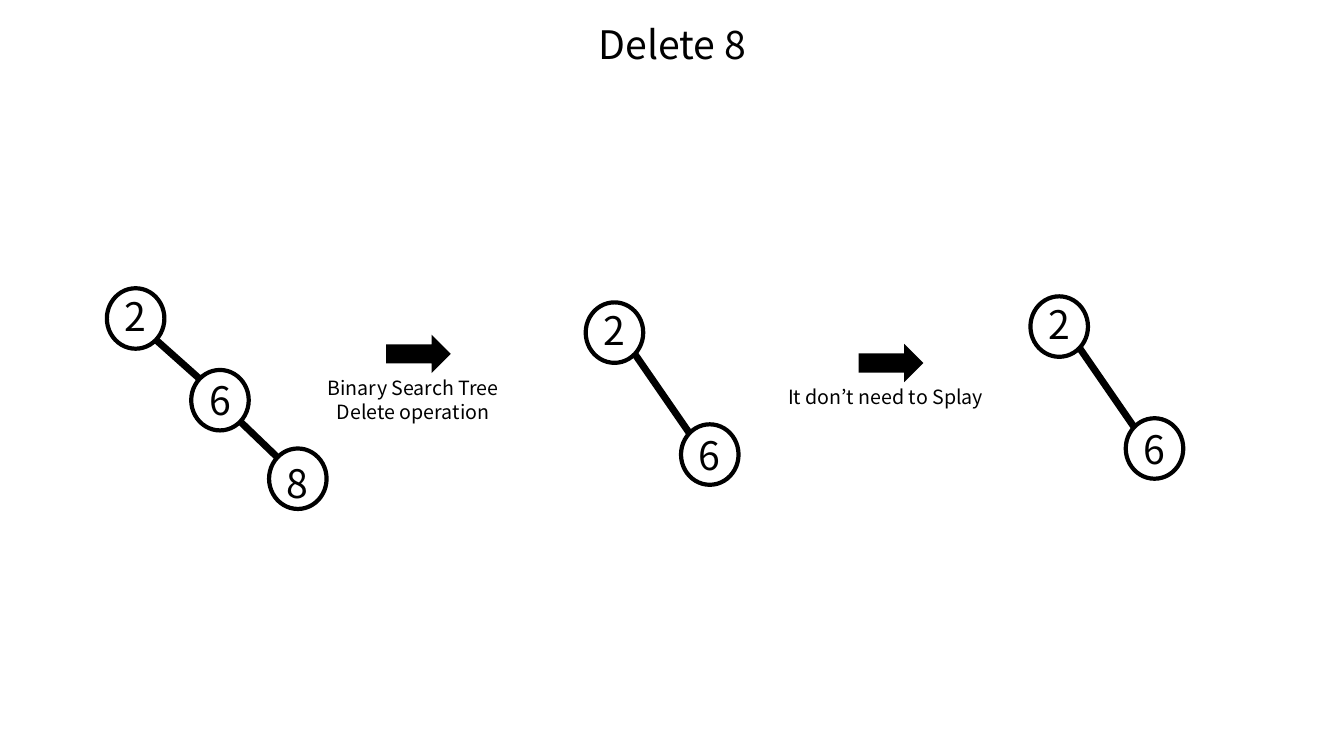
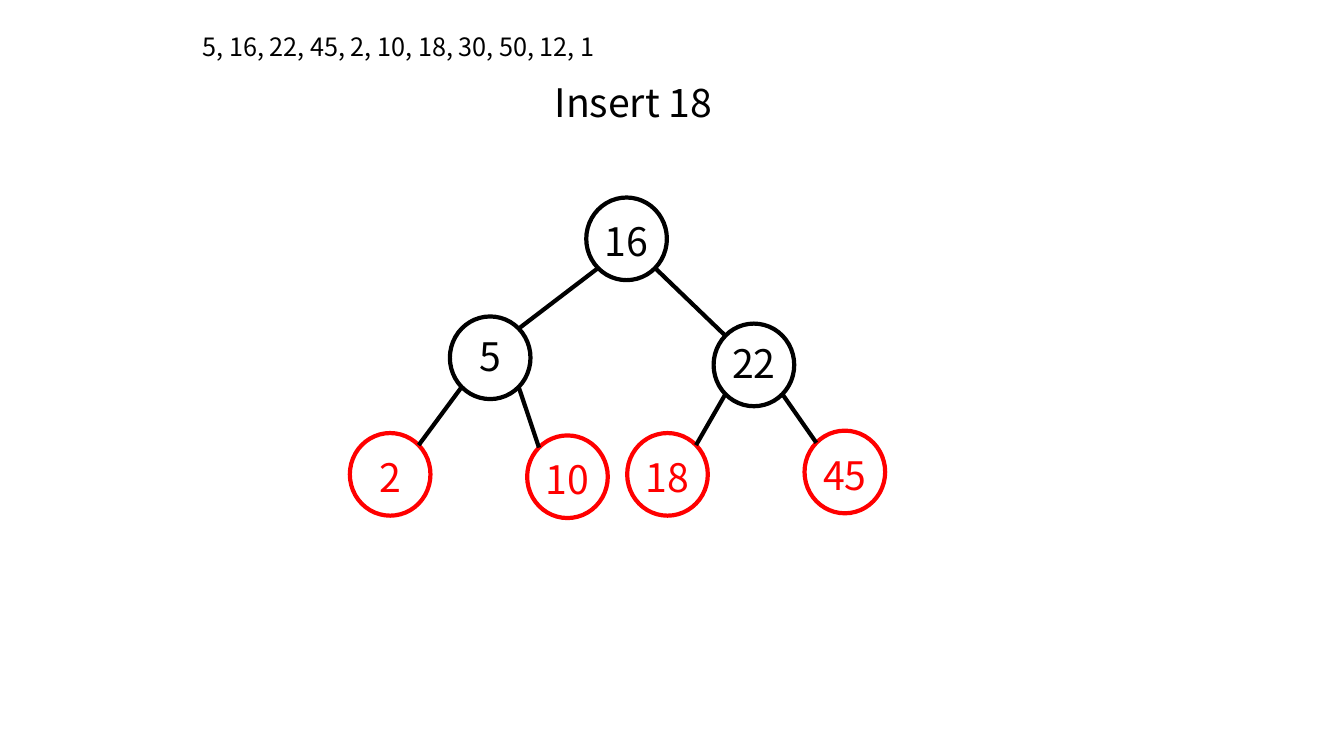
from lxml.etree import SubElement
from pptx import Presentation
from pptx.dml.color import RGBColor
from pptx.enum.shapes import MSO_CONNECTOR, MSO_SHAPE
from pptx.enum.text import MSO_ANCHOR, MSO_AUTO_SIZE, PP_ALIGN
from pptx.oxml.ns import qn
from pptx.util import Inches, Pt

FONT, BLACK, RED = "Noto Sans CJK KR", "000000", "FF0000"
WIDTH, HEIGHT = Inches(13.33), Inches(7.5)
COL, ROW = WIDTH / 100, HEIGHT / 100
TITLE_SIZE = (20.85, 7.6)
SMALL_NODE, LARGE_NODE = (4.28, 8), (6, 10.93)
CORNER = 0.5 ** 1.5


def rgb(value):
    """Turn a hex string into a colour."""
    return RGBColor.from_string(value)


def place(x, y, w, h):
    """Turn a box in grid columns and rows into slide lengths."""
    return int(x * COL), int(y * ROW), int(w * COL), int(h * ROW)


def write(sp, lines, size, color=BLACK, **formats):
    """Fill a shape with centred lines of text, with optional frame formats."""
    tf = sp.text_frame
    tf.text = "\n".join(lines)
    settings = {"word_wrap": True, "auto_size": MSO_AUTO_SIZE.NONE,
                "vertical_anchor": MSO_ANCHOR.TOP}
    align = formats.pop("align", PP_ALIGN.CENTER)
    for name, value in {**settings, **formats}.items():
        setattr(tf, name, value)
    for p in tf.paragraphs:
        p.alignment = align
        for name, value in {"name": FONT, "size": Pt(size), "bold": False}.items():
            setattr(p.font, name, value)
        p.font.color.rgb = rgb(color)


def add_title_slide(prs, title, x, y):
    """Add a title-only slide with its title at a grid point."""
    slide = prs.slides.add_slide(prs.slide_layouts[5])
    sp = slide.shapes.title
    sp.left, sp.top, sp.width, sp.height = place(x, y, *TITLE_SIZE)
    write(sp, [title], 28)
    return slide


def add_node(slide, box, label, color, drop):
    """Draw a ringed label, lowered by a share of the ring's height."""
    sp = slide.shapes.add_shape(MSO_SHAPE.OVAL, *place(*box))
    sp.shadow.inherit = False
    sp.fill.background()
    sp.line.color.rgb = rgb(color)
    sp.line.width = Pt(3)
    shift = int(2 * drop * sp.height)
    write(sp, [label], 28, color, word_wrap=False, vertical_anchor=MSO_ANCHOR.MIDDLE,
          margin_left=0, margin_right=0,
          margin_top=max(shift, 0), margin_bottom=max(-shift, 0))
    return sp


def add_edge(slide, parent, child, weight):
    """Join the facing diagonal points of a parent ring and a child ring."""
    side = 1 if child.left > parent.left else -1
    ends = []
    for sp, dx, dy in ((parent, side, 1), (child, -side, -1)):
        ends += [int(sp.left + sp.width * (0.5 + dx * CORNER)),
                 int(sp.top + sp.height * (0.5 + dy * CORNER))]
    line = slide.shapes.add_connector(MSO_CONNECTOR.STRAIGHT, *ends)
    line.line.color.rgb = rgb(BLACK)
    line.line.width = Pt(weight)
    SubElement(line._element.spPr, qn("a:effectLst"))


def add_tree(slide, box, node_size, nodes, parents, weight):
    """Draw a tree whose nodes sit at shares of the free room in a box."""
    x, y, w, h = box
    node_w, node_h = node_size
    rings = {label: add_node(slide, (x + (w - node_w) * across, y + (h - node_h) * down,
                                     node_w, node_h), label, color, drop)
             for label, across, down, color, drop in nodes}
    for child, parent in parents.items():
        add_edge(slide, rings[parent], rings[child], weight)


def add_step(slide, box, lines):
    """Draw a right arrow with a caption below it in a box."""
    x, y, w, h = box
    sp = slide.shapes.add_shape(MSO_SHAPE.RIGHT_ARROW,
                                *place(x + w * 0.38, y, w * 0.285, h * 0.41))
    sp.shadow.inherit = False
    sp.fill.solid()
    sp.fill.fore_color.rgb = rgb(BLACK)
    sp.line.fill.background()
    caption = slide.shapes.add_textbox(*place(x, y + h * 0.39, w, h * 0.61))
    write(caption, lines, 14)


def build_delete(prs):
    """Build the slide that deletes a key in two steps."""
    slide = add_title_slide(prs, "Delete 8", 39.6, 2)
    root = ("2", 0, 0, BLACK, -0.05)
    add_tree(slide, (7.95, 38.13, 16.35, 29.2), SMALL_NODE,
             [root, ("6", 0.52, 0.51, BLACK, 0), ("8", 1, 1, BLACK, 0.06)],
             {"6": "2", "8": "6"}, 5)
    for x, y in ((43.58, 40), (76.67, 39.2)):
        add_tree(slide, (x, y, 11.37, 24.13), SMALL_NODE,
                 [root, ("6", 1, 1, BLACK, 0)], {"6": "2"}, 5)
    for x, y, lines in ((22.3, 44.27, ["Binary Search Tree", "Delete operation"]),
                        (57.46, 45.47, ["It don’t need to Splay"])):
        add_step(slide, (x, y, 16.9, 12.4), lines)


def build_insert(prs):
    """Build the slide that inserts a key into a coloured tree."""
    slide = add_title_slide(prs, "Insert 18", 36.7, 9.73)
    sequence = slide.shapes.add_textbox(*place(14.33, 3.47, 58.8, 5.33))
    write(sequence, ["5, 16, 22, 45, 2, 10, 18, 30, 50, 12, 1"], 18, align=PP_ALIGN.LEFT)
    nodes = [("16", 0.52, 0, BLACK, 0.02), ("5", 0.22, 0.5, BLACK, -0.02),
             ("22", 0.8, 0.53, BLACK, -0.02), ("2", 0, 0.99, RED, 0.03),
             ("10", 0.39, 1, RED, 0.03), ("18", 0.61, 0.99, RED, 0.03),
             ("45", 1, 0.98, RED, 0.03)]
    parents = {"5": "16", "22": "16", "2": "5", "10": "5", "18": "22", "45": "22"}
    add_tree(slide, (26.03, 26.13, 39.83, 42.4), LARGE_NODE, nodes, parents, 3)


def main():
    """Build and save the presentation."""
    prs = Presentation()
    prs.slide_width, prs.slide_height = WIDTH, HEIGHT
    build_delete(prs)
    build_insert(prs)
    prs.save("out.pptx")


if __name__ == "__main__":
    main()
